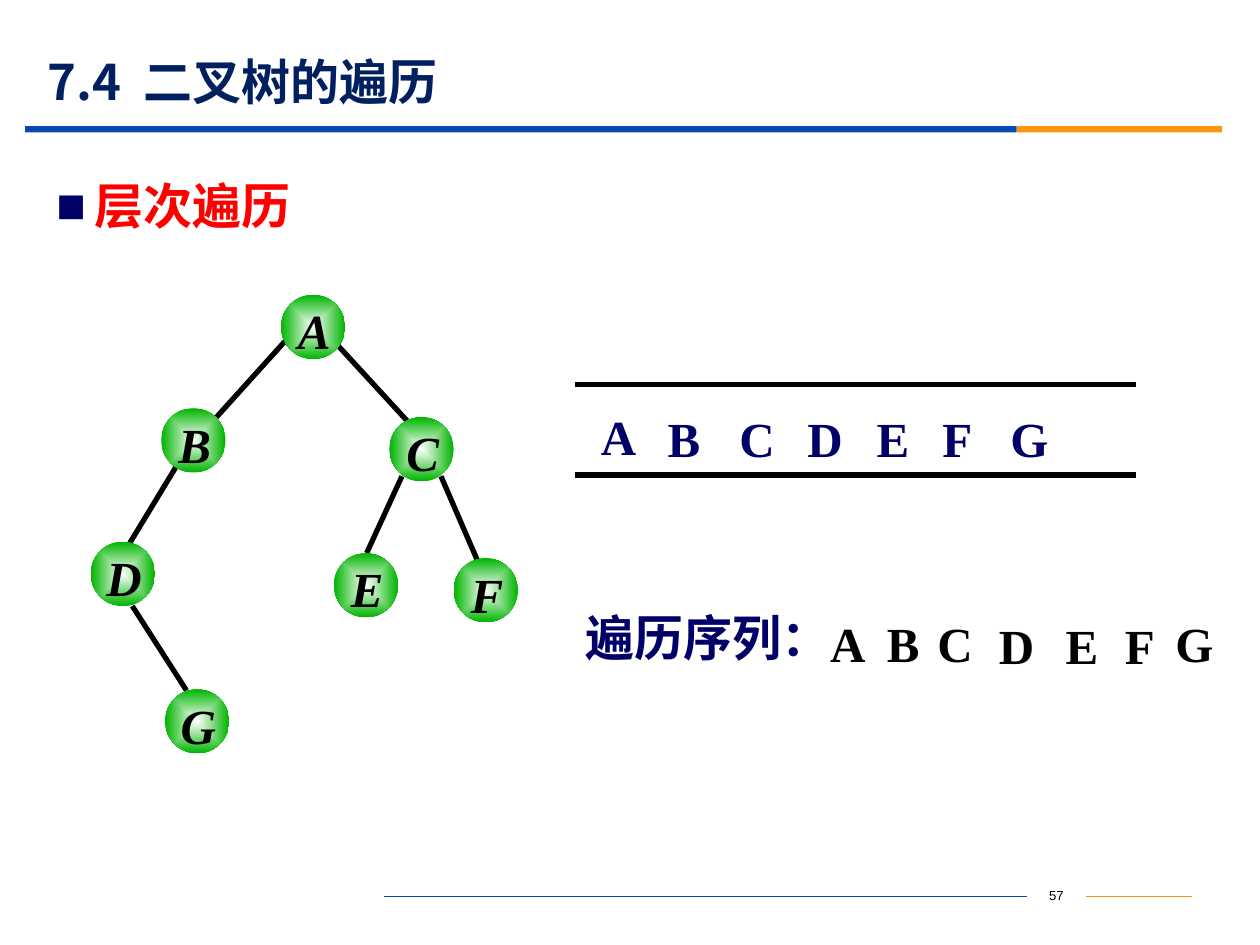
from dataclasses import dataclass

from lxml import etree
from pptx import Presentation
from pptx.dml.color import RGBColor
from pptx.enum.shapes import MSO_CONNECTOR, MSO_SHAPE
from pptx.enum.text import MSO_ANCHOR, PP_ALIGN
from pptx.oxml.ns import qn
from pptx.util import Inches, Pt

STRAIGHT = MSO_CONNECTOR.STRAIGHT
RECTANGLE, OVAL = MSO_SHAPE.RECTANGLE, MSO_SHAPE.OVAL
LEFT, CENTER = PP_ALIGN.LEFT, PP_ALIGN.CENTER
TOP, MIDDLE = MSO_ANCHOR.TOP, MSO_ANCHOR.MIDDLE


@dataclass(frozen=True)
class Theme:
    """Colours, fonts and type sizes of the slide."""
    title: str = "002060"
    navy: str = "000066"
    red: str = "FF0000"
    black: str = "000000"
    white: str = "FFFFFF"
    green: str = "00B400"
    blue: str = "064BB2"
    orange: str = "FB9708"
    footer_orange: str = "F19500"
    serif: str = "Times New Roman"
    sans: str = "Arial"
    chinese: str = "Noto Sans CJK SC"
    body_size: float = 28
    number_size: float = 7.5
    thick: float = 3
    thin: float = 0.75
    spacing: float = 1.1


THEME = Theme()
NODE_SIZE = 0.51
NODES = [("A", 1.51, 0), ("B", 0.56, 0.9), ("C", 2.37, 0.97), ("D", 0, 1.96),
         ("E", 1.93, 2.05), ("F", 2.88, 2.09), ("G", 0.59, 3.13)]
EDGES = [(1.55, 0.36, 0.99, 0.98), (1.96, 0.4, 2.52, 1.01),
         (0.68, 1.36, 0.31, 1.97), (0.33, 2.47, 0.76, 3.14),
         (2.47, 1.44, 2.19, 2.05), (2.78, 1.44, 3.07, 2.11)]
QUEUE = [("A", 0.11, 0.08), ("B", 0.64, 0.1), ("C", 1.21, 0.1), ("D", 1.75, 0.1),
         ("E", 2.3, 0.1), ("F", 2.82, 0.1), ("G", 3.36, 0.1)]
VISITED = [("A", 1.94, 0.04), ("B", 2.39, 0.04), ("C", 2.79, 0.04), ("D", 3.28, 0.06),
           ("E", 3.81, 0.06), ("F", 4.28, 0.06), ("G", 4.68, 0.04)]


def add_text(shapes, box, text, color, font=THEME.serif, size=THEME.body_size, bold=True,
             italic=False, align=LEFT, anchor=TOP, insets=(0.1, 0.05, 0.1, 0.05), spacing=None):
    """Add a text box holding one run and return it."""
    label = shapes.add_textbox(*map(Inches, box))
    frame = label.text_frame
    frame.word_wrap = True
    frame.vertical_anchor = anchor
    (frame.margin_left, frame.margin_top,
     frame.margin_right, frame.margin_bottom) = map(Inches, insets)
    paragraph = frame.paragraphs[0]
    paragraph.alignment = align
    paragraph.line_spacing = spacing
    run = paragraph.add_run()
    run.text = text
    run.font.name, run.font.size = font, Pt(size)
    run.font.bold, run.font.italic = bold, italic
    run.font.color.rgb = RGBColor.from_string(color)
    east_asian = etree.Element(qn("a:ea"), typeface=THEME.chinese)
    run.font._element.find(qn("a:latin")).addnext(east_asian)
    return label


def add_line(shapes, ends, color=THEME.black, width=THEME.thick):
    """Add a straight line without shadow and return it."""
    line = shapes.add_connector(STRAIGHT, *map(Inches, ends))
    line.line.color.rgb = RGBColor.from_string(color)
    line.line.width = Pt(width)
    etree.SubElement(line._element.spPr, qn("a:effectLst"))
    return line


def add_header(shapes, left, top, width):
    """Add the title and the two-coloured rule under it."""
    add_text(shapes, (left + 0.08, top, 9, 0.43), "7.4  二叉树的遍历", THEME.title,
             font=THEME.chinese, anchor=MIDDLE)
    blue_width = 7.87
    for x, part_width, color in ((left, blue_width, THEME.blue),
                                 (left + blue_width, width - blue_width, THEME.orange)):
        rule = shapes.add_shape(RECTANGLE, *map(Inches, (x, top + 0.57, part_width, 0.05)))
        rule.shadow.inherit = False
        rule.fill.solid()
        rule.fill.fore_color.rgb = RGBColor.from_string(color)
        rule.line.fill.background()


def add_topic(shapes, left, top, width, height):
    """Add the bulleted topic heading."""
    topic = add_text(shapes, (left, top, width, height), "层次遍历", THEME.red,
                     spacing=THEME.spacing)
    properties = topic.text_frame.paragraphs[0]._p.get_or_add_pPr()
    properties.set("marL", str(Inches(0.3)))
    properties.set("indent", str(-Inches(0.3)))
    bullet_color = etree.SubElement(properties, qn("a:buClr"))
    etree.SubElement(bullet_color, qn("a:srgbClr"), val=THEME.navy)
    etree.SubElement(properties, qn("a:buFont"), typeface=THEME.sans)
    etree.SubElement(properties, qn("a:buChar"), char="■")


def add_node(shapes, left, top, letter):
    """Add one tree node with its letter."""
    node = shapes.add_shape(OVAL, *map(Inches, (left, top, NODE_SIZE, NODE_SIZE)))
    node.shadow.inherit = False
    node.line.fill.background()
    node.fill.gradient()
    for stop, color in zip(node.fill.gradient_stops, (THEME.white, THEME.green)):
        stop.color.rgb = RGBColor.from_string(color)
    gradient = node._element.spPr.find(qn("a:gradFill"))
    gradient.remove(gradient.find(qn("a:lin")))
    radial = etree.SubElement(gradient, qn("a:path"), {"path": "shape"})
    etree.SubElement(radial, qn("a:fillToRect"), dict.fromkeys("ltrb", "50000"))
    add_text(shapes, (left + 0.05, top - 0.04, 0.43, 0.67), letter, THEME.black, italic=True,
             align=CENTER, insets=(0, 0.04, 0, 0), spacing=THEME.spacing)


def add_tree(shapes, left, top):
    """Add the binary tree as one group, edges behind nodes."""
    tree = shapes.add_group_shape().shapes
    for x1, y1, x2, y2 in EDGES:
        add_line(tree, (left + x1, top + y1, left + x2, top + y2))
    for letter, x, y in NODES:
        add_node(tree, left + x, top + y, letter)


def add_letters(shapes, left, top, letters, color):
    """Add a row of separate letters."""
    for letter, x, y in letters:
        add_text(shapes, (left + x, top + y, 0.52, 0.57), letter, color, spacing=THEME.spacing)


def add_queue(shapes, left, top, width, height):
    """Add the queue between its two rails."""
    for y in (top, top + height):
        add_line(shapes, (left, y, left + width, y))
    add_letters(shapes, left, top, QUEUE, THEME.navy)


def add_sequence(shapes, left, top, width, height):
    """Add the traversal sequence with its caption."""
    add_text(shapes, (left, top, width, height), "遍历序列：", THEME.navy,
             font=THEME.chinese, spacing=THEME.spacing)
    add_letters(shapes, left, top, VISITED, THEME.black)


def add_footer(shapes, left, top, width, height):
    """Add the page number between two joined lines."""
    number_left, number_width = left + 5.1, 0.47
    number = add_text(shapes, (number_left, top, number_width, height), "57", THEME.black,
                      font=THEME.sans, size=THEME.number_size, bold=False, align=CENTER)
    middle = top + height / 2
    blue_line = add_line(shapes, (left, middle, number_left, middle), THEME.blue, THEME.thin)
    blue_line.end_connect(number, 1)
    orange_line = add_line(shapes, (number_left + number_width, middle, left + width, middle),
                           THEME.footer_orange, THEME.thin)
    orange_line.begin_connect(number, 3)


def main():
    """Build the slide and save it."""
    deck = Presentation()
    deck.slide_width, deck.slide_height = Inches(10), Inches(7.5)
    shapes = deck.slides.add_slide(deck.slide_layouts[6]).shapes
    add_footer(shapes, 3.05, 6.99, 6.41, 0.25)
    add_header(shapes, 0.2, 0.43, 9.5)
    add_topic(shapes, 0.35, 1.3, 9, 0.61)
    add_tree(shapes, 0.72, 2.34)
    add_queue(shapes, 4.56, 3.05, 4.46, 0.72)
    add_sequence(shapes, 4.55, 4.73, 4.94, 0.57)
    deck.save("out.pptx")


if __name__ == "__main__":
    main()
